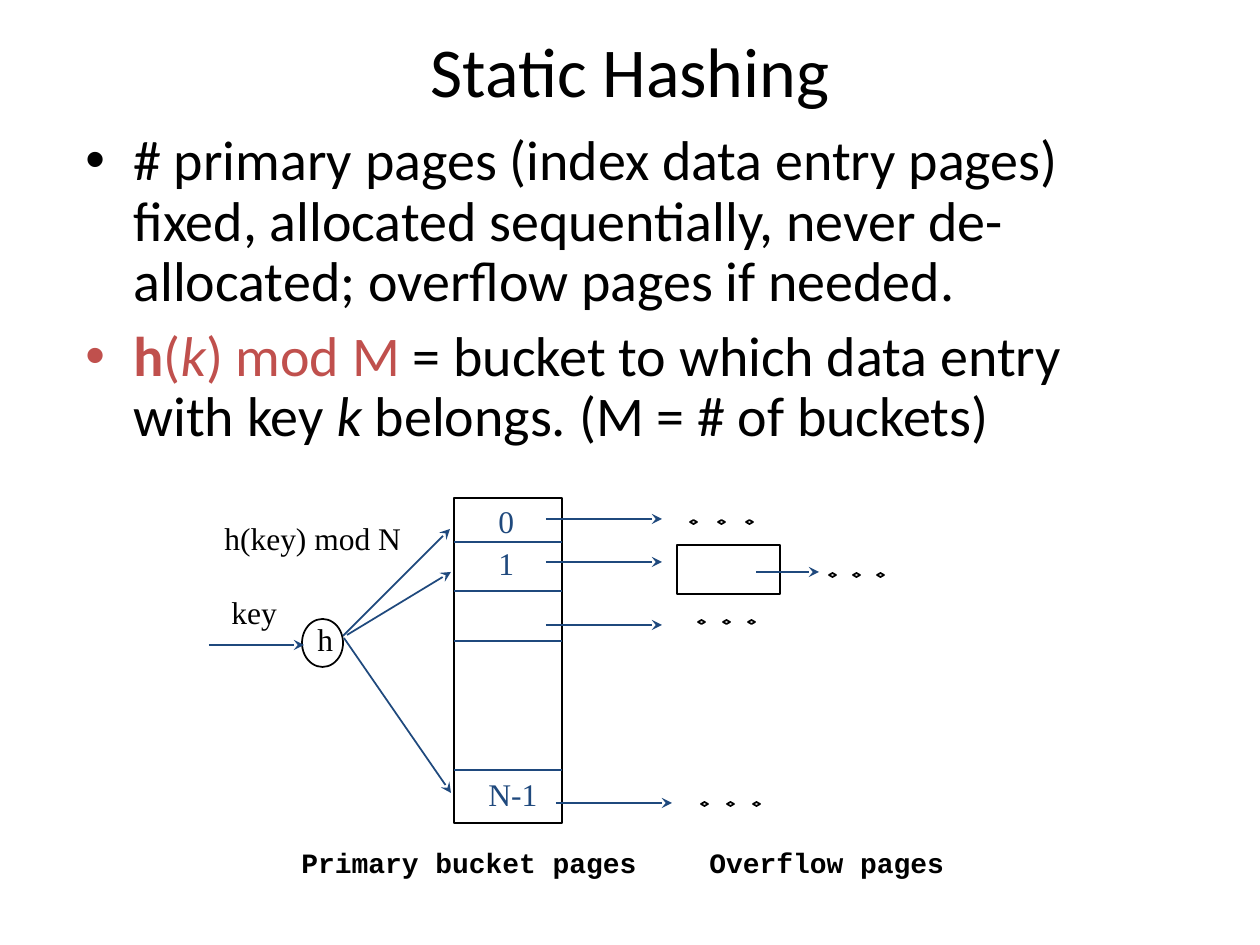
import dataclasses

import pptx
import pptx.dml.color
import pptx.enum.shapes
import pptx.enum.text
import pptx.oxml.ns
import pptx.util
from lxml import etree

SHAPES = pptx.enum.shapes.MSO_SHAPE
PLAIN, BOLD, ITALIC = (False, False), (True, False), (False, True)


@dataclasses.dataclass(frozen=True)
class Theme:
    ink: str = "000000"
    accent: str = "C0504D"
    blue: str = "1F497D"
    main_font: str = "Calibri"
    label_font: str = "Times New Roman"
    caption_font: str = "Courier New"
    title_size: int = 40
    body_size: int = 32
    label_size: int = 18
    caption_size: int = 16
    stroke: int = 1


def px(length):
    return pptx.util.Emu(round(length * 914400 / 126))


def rgb(color):
    return pptx.dml.color.RGBColor.from_string(color)


def add_xml(parent, tag, **attributes):
    return etree.SubElement(parent, pptx.oxml.ns.qn(tag), attributes)


class SlideBuilder:
    def __init__(self, deck, theme):
        self.theme = theme
        self.slide = deck.slides.add_slide(deck.slide_layouts[5])

    def format_run(self, run, font, size, color, weight=PLAIN):
        run.font.name = font
        run.font.size = pptx.util.Pt(size)
        run.font.color.rgb = rgb(color)
        run.font.bold, run.font.italic = weight

    def title(self, text, left, top, width, height):
        heading = self.slide.shapes.title
        heading.left, heading.top = px(left), px(top)
        heading.width, heading.height = px(width), px(height)
        frame = heading.text_frame
        frame.text = text
        frame.vertical_anchor = pptx.enum.text.MSO_ANCHOR.MIDDLE
        paragraph = frame.paragraphs[0]
        paragraph.alignment = pptx.enum.text.PP_ALIGN.CENTER
        self.format_run(paragraph.runs[0], self.theme.main_font,
                        self.theme.title_size, self.theme.ink)

    def bullets(self, points, left, top, width, height):
        frame = self.slide.shapes.add_textbox(
            px(left), px(top), px(width), px(height)).text_frame
        frame.word_wrap = True
        for index, pieces in enumerate(points):
            paragraph = frame.add_paragraph() if index else frame.paragraphs[0]
            paragraph.line_spacing = 0.9
            paragraph.space_before = pptx.util.Pt(8)
            for text, color, weight in pieces:
                run = paragraph.add_run()
                run.text = text
                self.format_run(run, self.theme.main_font,
                                self.theme.body_size, color, weight)
            properties = paragraph._p.get_or_add_pPr()
            properties.set("marL", str(px(48)))
            properties.set("indent", str(px(-48)))
            add_xml(add_xml(properties, "a:buClr"), "a:srgbClr", val=pieces[0][1])
            add_xml(properties, "a:buFont", typeface="Arial")
            add_xml(properties, "a:buChar", char="•")

    def text(self, text, left, top, width, height, font, size, color, weight=PLAIN):
        frame = self.slide.shapes.add_textbox(
            px(left), px(top), px(width), px(height)).text_frame
        frame.word_wrap = False
        frame.text = text
        self.format_run(frame.paragraphs[0].runs[0], font, size, color, weight)

    def label(self, text, left, top, width, color):
        self.text(text, left, top, width, 50, self.theme.label_font,
                  self.theme.label_size, color)

    def caption(self, text, left, top, width):
        self.text(text, left, top, width, 45, self.theme.caption_font,
                  self.theme.caption_size, self.theme.ink, BOLD)

    def outline(self, preset, left, top, width, height):
        shape = self.slide.shapes.add_shape(
            preset, px(left), px(top), px(width), px(height))
        shape.shadow.inherit = False
        shape.fill.background()
        shape.line.color.rgb = rgb(self.theme.ink)
        shape.line.width = pptx.util.Pt(self.theme.stroke)

    def ellipsis(self, left, top, step):
        for index in range(3):
            self.outline(SHAPES.DIAMOND, left + index * step, top, 7, 4)

    def line(self, x1, y1, x2, y2, arrow=False):
        connector = self.slide.shapes.add_connector(
            pptx.enum.shapes.MSO_CONNECTOR.STRAIGHT, px(x1), px(y1), px(x2), px(y2))
        connector.line.color.rgb = rgb(self.theme.blue)
        connector.line.width = pptx.util.Pt(self.theme.stroke)
        properties = connector._element.spPr
        if arrow:
            stroke = properties.find(pptx.oxml.ns.qn("a:ln"))
            add_xml(stroke, "a:tailEnd", type="stealth")
        add_xml(properties, "a:effectLst")


def main():
    theme = Theme()
    deck = pptx.Presentation()
    deck.slide_width, deck.slide_height = px(1260), px(945)
    page = SlideBuilder(deck, theme)

    page.title("Static Hashing", 63, 21, 1134, 98)
    page.bullets([
        [("# primary pages (index data entry pages) fixed, allocated sequentially, "
          "never de-allocated; overflow pages if needed.", theme.ink, PLAIN)],
        [("h", theme.accent, BOLD),
         ("(", theme.accent, PLAIN),
         ("k", theme.accent, ITALIC),
         (") mod M ", theme.accent, PLAIN),
         ("= bucket to which data entry with key", theme.ink, PLAIN),
         (" k ", theme.ink, ITALIC),
         ("belongs", theme.ink, PLAIN),
         (". ", theme.ink, ITALIC),
         ("(M = # of buckets)", theme.ink, PLAIN)],
    ], 73, 126, 1113, 357)

    page.outline(SHAPES.RECTANGLE, 677, 545, 103, 49)
    page.outline(SHAPES.OVAL, 302, 619, 41, 48)
    page.outline(SHAPES.RECTANGLE, 454, 498, 108, 325)
    for left, top, step in [(690, 520, 28), (829, 573, 24),
                            (698, 620, 25), (701, 802, 26)]:
        page.ellipsis(left, top, step)

    for text, left, top, width, color in [
            ("h(key) mod N", 212, 513, 202, theme.ink),
            ("h", 305, 614, 40, theme.ink),
            ("key", 219, 587, 71, theme.ink),
            ("0", 486, 496, 40, theme.blue),
            ("1", 486, 538, 40, theme.blue),
            ("N-1", 476, 769, 74, theme.blue)]:
        page.label(text, left, top, width, color)
    page.caption("Primary bucket pages", 289, 839, 360)
    page.caption("Overflow pages", 697, 839, 260)

    for start_x, start_y, end_x, end_y in [
            (347, 635, 451, 572), (343, 636, 450, 529), (344, 638, 451, 793)]:
        page.line(start_x, start_y, end_x, end_y, arrow=True)
    for left, y, length in [(209, 645, 95), (546, 519, 116), (546, 562, 116),
                            (546, 625, 116), (556, 803, 116), (756, 572, 63)]:
        page.line(left, y, left + length, y, arrow=True)
    for divider_y in (542, 591, 641, 770):
        page.line(454, divider_y, 562, divider_y)

    deck.save("out.pptx")


if __name__ == "__main__":
    main()
